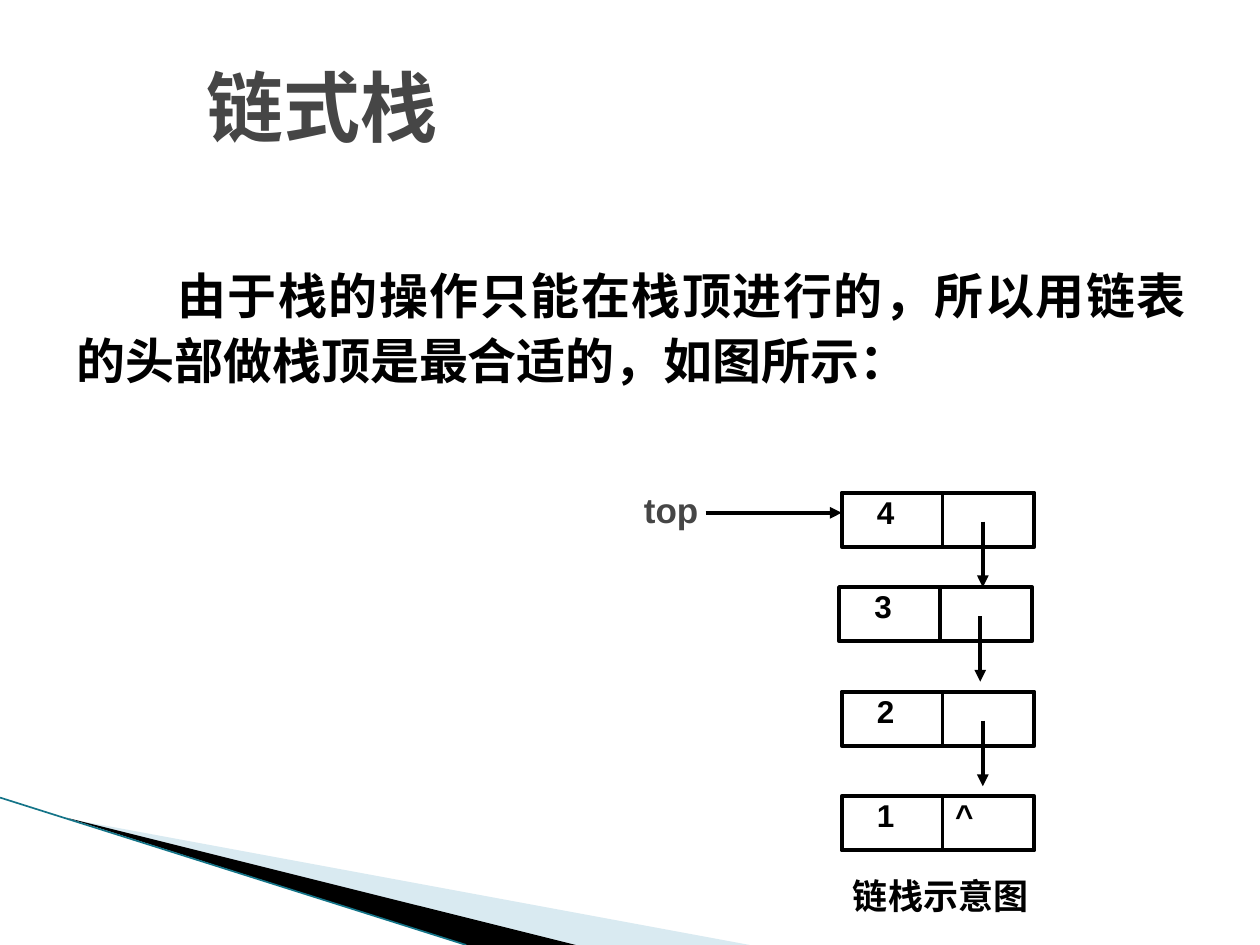
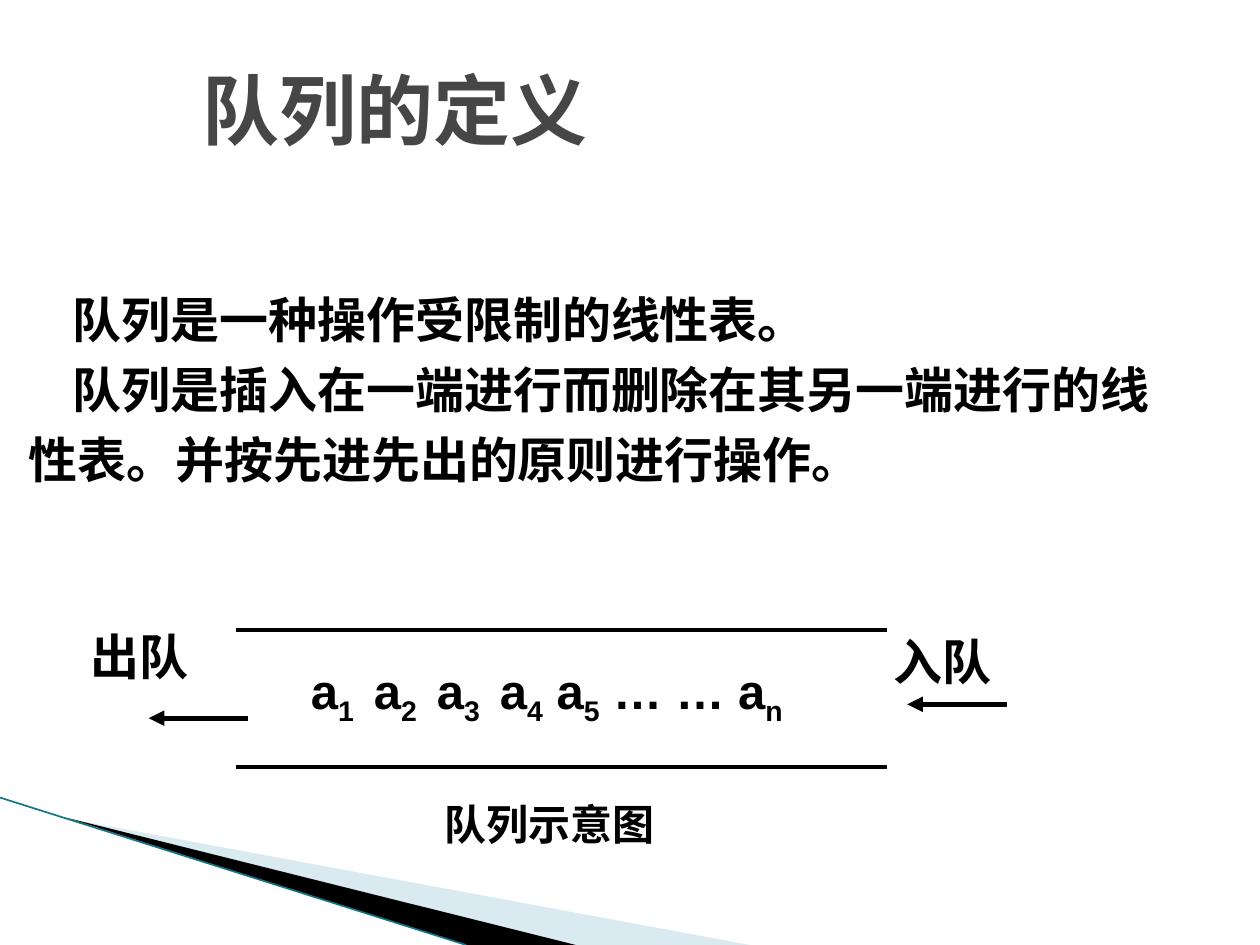
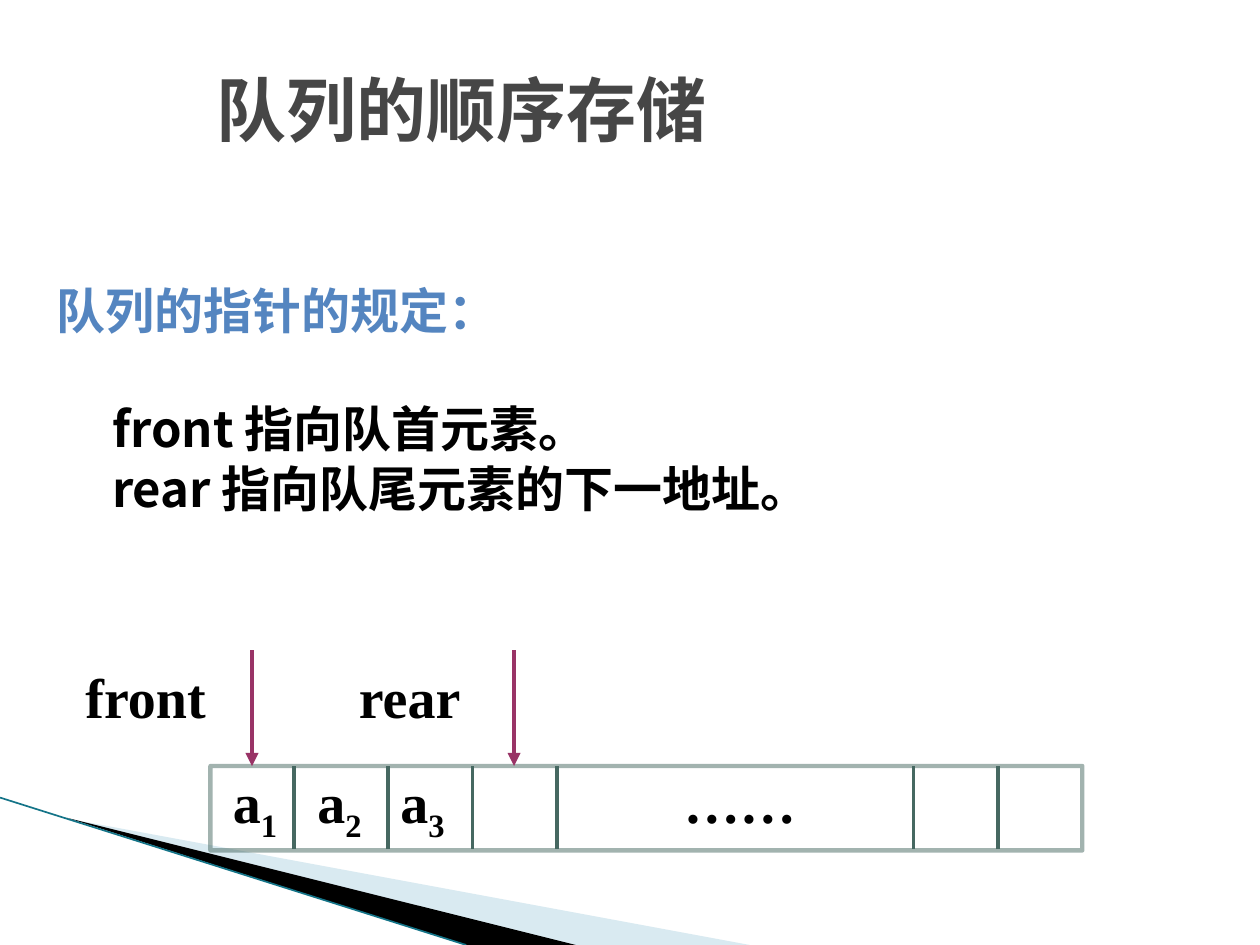
from pptx import Presentation
from pptx.util import Inches, Pt
from pptx.dml.color import RGBColor
from pptx.enum.shapes import MSO_CONNECTOR as Link, MSO_SHAPE as Kind
from pptx.enum.text import MSO_ANCHOR as Anchor, PP_ALIGN as Align
from pptx.oxml.ns import qn
from lxml.etree import SubElement

HUES = {"ink": "000000", "title": "464646", "blue": "5485C0", "pale": "A0CBDC",
        "teal": "147488", "cell": "466861", "plum": "993366"}
SANS, SERIF, HAN = "Arial", "Times New Roman", "Noto Sans CJK SC"

TITLES = [
    ("链式栈", (1.54, 0.46, 2.91, 0.75), 44),
    ("队列的定义", (1.51, 0.49, 4.12, 0.75), 44),
    ("队列的顺序存储", (1.62, 0.36, 8, 1), 40),
]
STACK = ["由于栈的操作只能在栈顶进行的，所以用链表的头部做栈顶是最合适的，如图所示："]
QUEUE = ["队列是一种操作受限制的线性表。",
         "队列是插入在一端进行而删除在其另一端进行的线性表。并按先进先出的原则进行操作。"]
RULES = ["front 指向队首元素。", "rear 指向队尾元素的下一地址。"]
NODES = [("4", 6.68, 3.91), ("3", 6.66, 4.66), ("2", 6.68, 5.49), ("1", 6.68, 6.32)]
ITEMS = "a_1\ta_2\ta_3\ta_4 a_5 … … a_n"
ENDS = [("出队", 0.62, 4.92, 1.97, 5.7), ("入队", 6.99, 4.96, 7.99, 5.59)]
CELLS = [("a_1", 1.75, 0.83), ("a_2", 2.42, 0.83), ("a_3", 3.08, 0.83), ("……", 5.33, 1.25)]
BARS = [2.33, 3.08, 3.75, 4.42, 7.25, 7.92]
MARKS = [("front", 0.58, 2), ("rear", 2.75, 4.08)]


def rgb(name):
    return RGBColor.from_string(HUES[name])


def fade(fill, share):
    tint = fill._xPr.find(".//" + qn("a:srgbClr"))
    SubElement(tint, qn("a:alpha")).set("val", str(share * 1000))


def write(frame, rows, size, font=SANS, hue="ink", inset=(0.1, 0.05), lead=None,
          left=0, first=0, tabs=(), align=Align.LEFT, anchor=Anchor.TOP):
    frame.word_wrap = True
    frame.vertical_anchor = anchor
    frame.margin_left = frame.margin_right = Inches(inset[0])
    frame.margin_top = frame.margin_bottom = Inches(inset[1])
    for i, row in enumerate(rows):
        para = frame.paragraphs[0] if i == 0 else frame.add_paragraph()
        para.alignment = align
        if lead:
            para.line_spacing = Pt(lead)
        props = para._p.get_or_add_pPr()
        props.set("marL", str(Inches(left)))
        props.set("indent", str(Inches(first)))
        if tabs:
            stops = SubElement(props, qn("a:tabLst"))
            for stop in tabs:
                SubElement(stops, qn("a:tab"), pos=str(Inches(stop)), algn="l")
        head, *tails = row.split("_")
        parts = [(head, False)]
        for tail in tails:
            parts += [(tail[0], True), (tail[1:], False)]
        for part, low in parts:
            if not part:
                continue
            run = para.add_run()
            run.text = part
            run.font.name, run.font.size, run.font.bold = font, Pt(size), True
            run.font.color.rgb = rgb(hue)
            look = run._r.get_or_add_rPr()
            if any("一" <= sign <= "龥" for sign in part):
                SubElement(look, qn("a:ea")).set("typeface", HAN)
            if low:
                look.set("baseline", "-25000")


def text(slide, box, rows, size, **style):
    frame = slide.shapes.add_textbox(*map(Inches, box)).text_frame
    write(frame, rows, size, **style)


def line(slide, x1, y1, x2, y2, width=2.25, hue="ink", arrow=False):
    link = slide.shapes.add_connector(Link.STRAIGHT, *map(Inches, (x1, y1, x2, y2)))
    link.line.color.rgb = rgb(hue)
    link.line.width = Pt(width)
    if arrow:
        SubElement(link.line._get_or_add_ln(), qn("a:tailEnd")).set("type", "triangle")
    SubElement(link._element.spPr, qn("a:effectLst"))


def rect(slide, box, width=2.25, hue="ink"):
    shape = slide.shapes.add_shape(Kind.RECTANGLE, *map(Inches, box))
    shape.shadow.inherit = False
    shape.fill.background()
    shape.line.color.rgb = rgb(hue)
    shape.line.width = Pt(width)
    return shape


def wedge(slide, spots, hue, share=100):
    spots = [(Inches(x), Inches(y)) for x, y in spots]
    form = slide.shapes.build_freeform(*spots[0])
    form.add_line_segments(spots[1:])
    shape = form.convert_to_shape()
    shape.shadow.inherit = False
    shape.fill.solid()
    shape.fill.fore_color.rgb = rgb(hue)
    shape.line.fill.background()
    if share < 100:
        fade(shape.fill, share)


def start(deck, title, box, size):
    slide = deck.slides.add_slide(deck.slide_layouts[6])
    wedge(slide, [(0.55, 6.5), (5.95, 7.5), (4.56, 7.5)], "pale", 40)
    wedge(slide, [(0.53, 6.49), (4.57, 7.5), (3.7, 7.5)], "ink")
    line(slide, 0, 6.33, 3.7, 7.5, 0.95, "teal")
    text(slide, box, [title], size, hue="title", anchor=Anchor.MIDDLE)
    return slide


def stack(slide):
    text(slide, (0.51, 2.01, 9, 1.14), STACK, 28, lead=37, first=0.8, align=Align.JUSTIFY)
    text(slide, (6.77, 6.94, 2.2, 0.43), ["链栈示意图"], 20, inset=(0, 0))
    text(slide, (5.11, 3.88, 0.82, 0.41), ["top"], 20, hue="title", inset=(0, 0))
    line(slide, 5.6, 4.07, 6.68, 4.07, arrow=True)
    for name, x, y in NODES:
        node = rect(slide, (x, y, 1.53, 0.43))
        write(node.text_frame, [name], 18, inset=(0, 0), left=0.28)
        line(slide, x + 0.8, y, x + 0.8, y + 0.43)
        if name == "1":
            text(slide, (x + 0.9, y, 0.4, 0.43), ["^"], 18, inset=(0, 0))
        else:
            line(slide, x + 1.12, y + 0.23, x + 1.12, y + 0.75, arrow=True)


def queue(slide):
    text(slide, (0.01, 2.16, 9.53, 1.8), QUEUE, 28, font=HAN, lead=40, left=0.12, first=0.35)
    for y in (5, 6.09):
        line(slide, 1.87, y, 7.04, y)
    text(slide, (2.37, 5.19, 4.46, 0.69), [ITEMS], 28, tabs=(0.56, 1.11, 1.67))
    text(slide, (3.43, 6.29, 2.8, 0.48), ["队列示意图"], 24)
    for name, x, y, tail, level in ENDS:
        text(slide, (x, y, 1.36, 0.77), [name], 28)
        line(slide, tail, level, tail - 0.79, level, 3, arrow=True)


def array(slide):
    style = dict(font=HAN, inset=(0, 0), lead=34)
    text(slide, (0.33, 2.22, 9.5, 0.5), ["队列的指针的规定："], 28, hue="blue", left=0.12, **style)
    text(slide, (0.33, 3.16, 9.5, 1), RULES, 28, left=0.56, **style)
    row = rect(slide, (1.67, 6.08, 6.92, 0.67), 2.5, "cell")
    fade(row.line.fill, 50)
    for x in BARS:
        line(slide, x, 6.08, x, 6.74, hue="cell")
    for name, x, width in CELLS:
        text(slide, (x, 6.04, width, 0.63), [name], 32, font=SERIF)
    for name, x, tip in MARKS:
        text(slide, (x, 5.21, 1.4, 0.63), [name], 32, font=SERIF)
        line(slide, tip, 5.16, tip, 6.08, 2.5, "plum", True)


def main():
    deck = Presentation()
    deck.slide_width, deck.slide_height = Inches(10), Inches(7.5)
    for title, draw in zip(TITLES, (stack, queue, array)):
        draw(start(deck, *title))
    deck.save("out.pptx")


if __name__ == "__main__":
    main()
